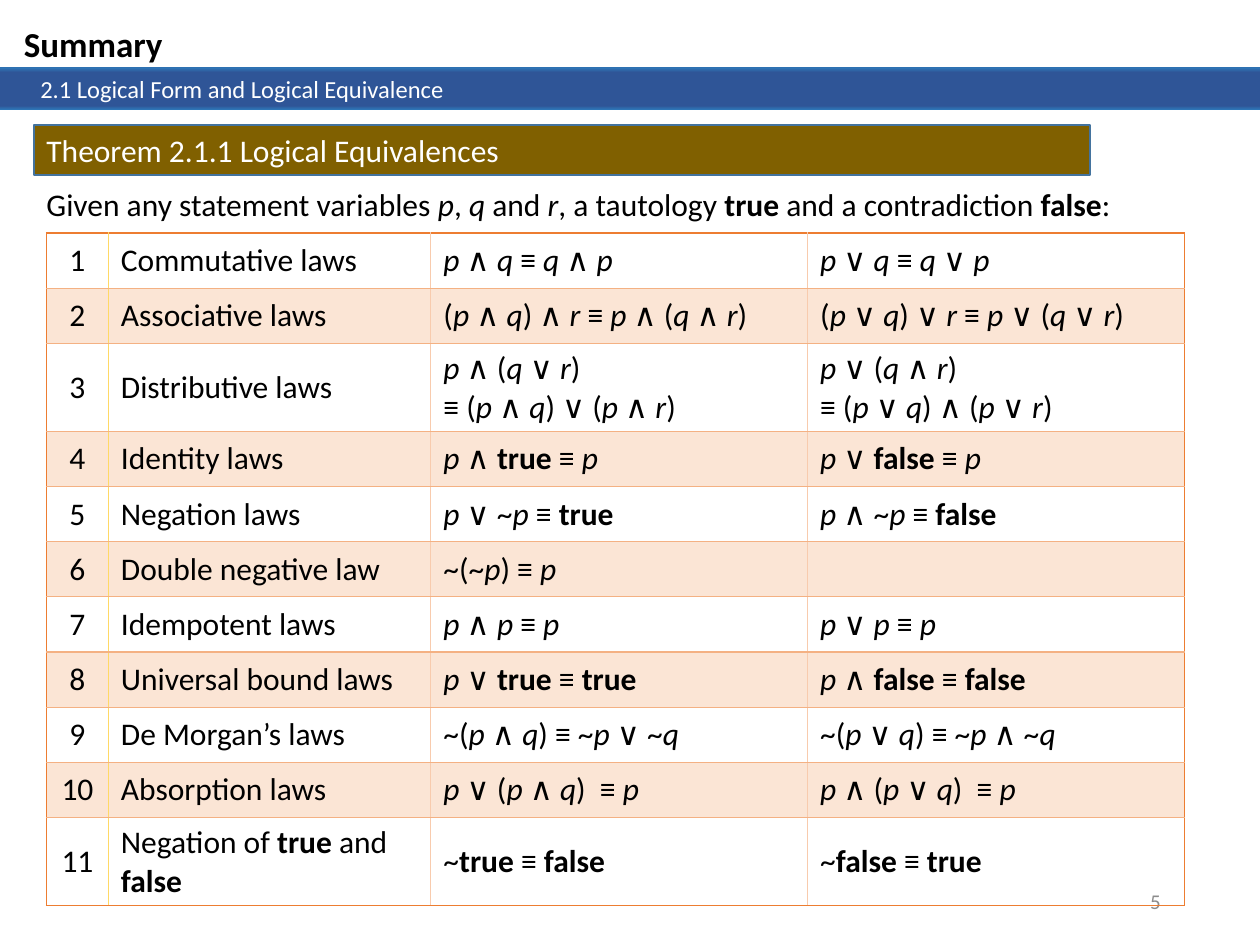
import dataclasses
import itertools

import pptx
import pptx.dml.color
import pptx.enum.shapes
import pptx.enum.text
import pptx.oxml.ns
import pptx.util
from lxml import etree

ALIGN = pptx.enum.text.PP_ALIGN
ANCHOR = pptx.enum.text.MSO_ANCHOR
qn = pptx.oxml.ns.qn


@dataclasses.dataclass(frozen=True)
class Theme:
    font: str = "Calibri"
    ink: str = "000000"
    paper: str = "FFFFFF"
    muted: str = "8C8C8C"
    theorem: str = "806000"
    theorem_edge: str = "43739E"
    accent: str = "ED7D31"
    row_rule: str = "F4B183"
    column_rule: str = "F8CBAD"
    number_rule: str = "FFD966"
    bar: tuple = ((0, "2E75B6"), (11, "2F5597"), (91, "2F5597"), (100, "2E75B6"))
    band_opacity: int = 20
    title: int = 20
    body: int = 18
    section: int = 14
    small: int = 12


VARIABLES = {"p", "q", "r"}
CONSTANTS = {"true", "false"}

LAWS = [
    ("Commutative laws", "p ∧ q ≡ q ∧ p", "p ∨ q ≡ q ∨ p"),
    ("Associative laws", "(p ∧ q) ∧ r ≡ p ∧ (q ∧ r)", "(p ∨ q) ∨ r ≡ p ∨ (q ∨ r)"),
    ("Distributive laws", "p ∧ (q ∨ r) \n≡ (p ∧ q) ∨ (p ∧ r)", "p ∨ (q ∧ r) \n≡ (p ∨ q) ∧ (p ∨ r)"),
    ("Identity laws", "p ∧ true ≡ p", "p ∨ false ≡ p"),
    ("Negation laws", "p ∨ ~p ≡ true", "p ∧ ~p ≡ false"),
    ("Double negative law", "~(~p) ≡ p", ""),
    ("Idempotent laws", "p ∧ p ≡ p", "p ∨ p ≡ p"),
    ("Universal bound laws", "p ∨ true ≡ true", "p ∧ false ≡ false"),
    ("De Morgan’s laws", "~(p ∧ q) ≡ ~p ∨ ~q", "~(p ∨ q) ≡ ~p ∧ ~q"),
    ("Absorption laws", "p ∨ (p ∧ q)  ≡ p", "p ∧ (p ∨ q)  ≡ p"),
    ("Negation of true and false", "~true ≡ false", "~false ≡ true"),
]
TALL_ROWS = {2, 10}


def logic_style(word):
    return word in VARIABLES, word in CONSTANTS


class SlideBuilder:
    columns, rows = 1000, 750

    def __init__(self, deck, theme):
        self.theme = theme
        self.column = deck.slide_width / self.columns
        self.row = deck.slide_height / self.rows
        self.page = deck.slides.add_slide(deck.slide_layouts[6])

    def area(self, left, top, width, height):
        return (round(left * self.column), round(top * self.row),
                round(width * self.column), round(height * self.row))

    def color(self, value):
        return pptx.dml.color.RGBColor.from_string(value)

    def style(self, span, size, color, bold=False, italic=False):
        span.font.name = self.theme.font
        span.font.size = pptx.util.Pt(size)
        span.font.color.rgb = self.color(color)
        span.font.bold = bold
        span.font.italic = italic

    def write_logic(self, para, text):
        for index, line in enumerate(text.split("\n")):
            if index:
                para.add_line_break()
            words = ["".join(group) for _, group in itertools.groupby(line, str.isalpha)]
            for (italic, bold), group in itertools.groupby(words, logic_style):
                span = para.add_run()
                span.text = "".join(group)
                self.style(span, self.theme.body, self.theme.ink, bold, italic)

    def text_box(self, area):
        box = self.page.shapes.add_textbox(*self.area(*area))
        box.text_frame.word_wrap = True
        return box

    def label(self, text, area, size, color, bold=False, align=ALIGN.LEFT, anchor=ANCHOR.TOP):
        box = self.text_box(area)
        box.text_frame.text = text
        box.text_frame.vertical_anchor = anchor
        para = box.text_frame.paragraphs[0]
        para.alignment = align
        self.style(para.runs[0], size, color, bold)

    def statement(self, text, area):
        self.write_logic(self.text_box(area).text_frame.paragraphs[0], text)

    def rectangle(self, area):
        kind = pptx.enum.shapes.MSO_SHAPE.RECTANGLE
        box = self.page.shapes.add_shape(kind, *self.area(*area))
        box.shadow.inherit = False
        return box

    def panel(self, area, fill, edge):
        box = self.rectangle(area)
        box.fill.solid()
        box.fill.fore_color.rgb = self.color(fill)
        box.line.color.rgb = self.color(edge)
        box.line.width = pptx.util.Pt(1)

    def gradient_bar(self, area, text="", indent=0):
        box = self.rectangle(area)
        box.line.fill.background()
        box.fill.gradient()
        box.fill.gradient_angle = 270
        stops = box._element.spPr.find(".//" + qn("a:gsLst"))
        stops[:] = []
        for position, value in self.theme.bar:
            stop = etree.SubElement(stops, qn("a:gs"), pos=str(position * 1000))
            etree.SubElement(stop, qn("a:srgbClr"), val=value)
        if text:
            frame = box.text_frame
            frame.text = text
            frame.vertical_anchor = ANCHOR.TOP
            frame.margin_left = round(indent * self.column)
            frame.paragraphs[0].alignment = ALIGN.LEFT
            self.style(frame.paragraphs[0].runs[0], self.theme.section, self.theme.paper)

    def borders(self, cell, sides):
        properties = cell._tc.get_or_add_tcPr()
        for index, (side, (value, points)) in enumerate(zip("LRTB", sides)):
            line = etree.Element(qn("a:ln" + side), w=str(pptx.util.Pt(points)))
            fill = etree.SubElement(line, qn("a:solidFill"))
            etree.SubElement(fill, qn("a:srgbClr"), val=value)
            properties.insert(index, line)

    def band(self, cell):
        cell.fill.solid()
        cell.fill.fore_color.rgb = self.color(self.theme.accent)
        value = cell._tc.tcPr.find(".//" + qn("a:srgbClr"))
        etree.SubElement(value, qn("a:alpha"), val=str(self.theme.band_opacity * 1000))

    def law_table(self, laws, left, top, widths, height, tall):
        theme = self.theme
        area = self.area(left, top, sum(widths), height)
        table = self.page.shapes.add_table(len(laws), len(widths), *area).table
        table.first_row = table.horz_banding = False
        for column, width in zip(table.columns, widths):
            column.width = round(width * self.column)
        short = (height - tall * len(TALL_ROWS)) / (len(laws) - len(TALL_ROWS))
        outer, rule = (theme.accent, 1), (theme.row_rule, 0.75)
        inner = (theme.column_rule, 0.75)
        verticals = [outer, (theme.number_rule, 1), inner, inner, outer]
        horizontals = [outer] + [rule] * (len(laws) - 1) + [outer]
        for r, law in enumerate(laws):
            table.rows[r].height = round((tall if r in TALL_ROWS else short) * self.row)
            for c, text in enumerate((str(r + 1), *law)):
                cell = table.cell(r, c)
                cell.vertical_anchor = ANCHOR.MIDDLE
                para = cell.text_frame.paragraphs[0]
                para.alignment = ALIGN.LEFT if c else ALIGN.CENTER
                self.write_logic(para, text)
                if r % 2:
                    self.band(cell)
                else:
                    cell.fill.background()
                self.borders(cell, verticals[c:c + 2] + horizontals[r:r + 2])


def main():
    deck = pptx.Presentation()
    deck.slide_width = pptx.util.Inches(10)
    deck.slide_height = pptx.util.Inches(7.5)
    theme = Theme()
    slide = SlideBuilder(deck, theme)

    slide.label("5", (706, 695, 225, 40), theme.small, theme.muted,
                align=ALIGN.RIGHT, anchor=ANCHOR.MIDDLE)
    slide.gradient_bar((0, 53, 1000, 30))
    slide.gradient_bar((0, 54, 1000, 33), "2.1 Logical Form and Logical Equivalence", 32)
    slide.label("Summary", (9, 13, 269, 44), theme.title, theme.ink, bold=True)
    slide.panel((27, 99, 838, 40), theme.theorem, theme.theorem_edge)
    slide.label("Theorem 2.1.1 Logical Equivalences", (27, 99, 824, 40), theme.body, theme.paper)
    slide.statement("Given any statement variables p, q and r, "
                    "a tautology true and a contradiction false:", (27, 142, 908, 40))
    slide.law_table(LAWS, 37, 185, (49, 256, 299, 299), 534, 70)

    deck.save("out.pptx")


if __name__ == "__main__":
    main()
